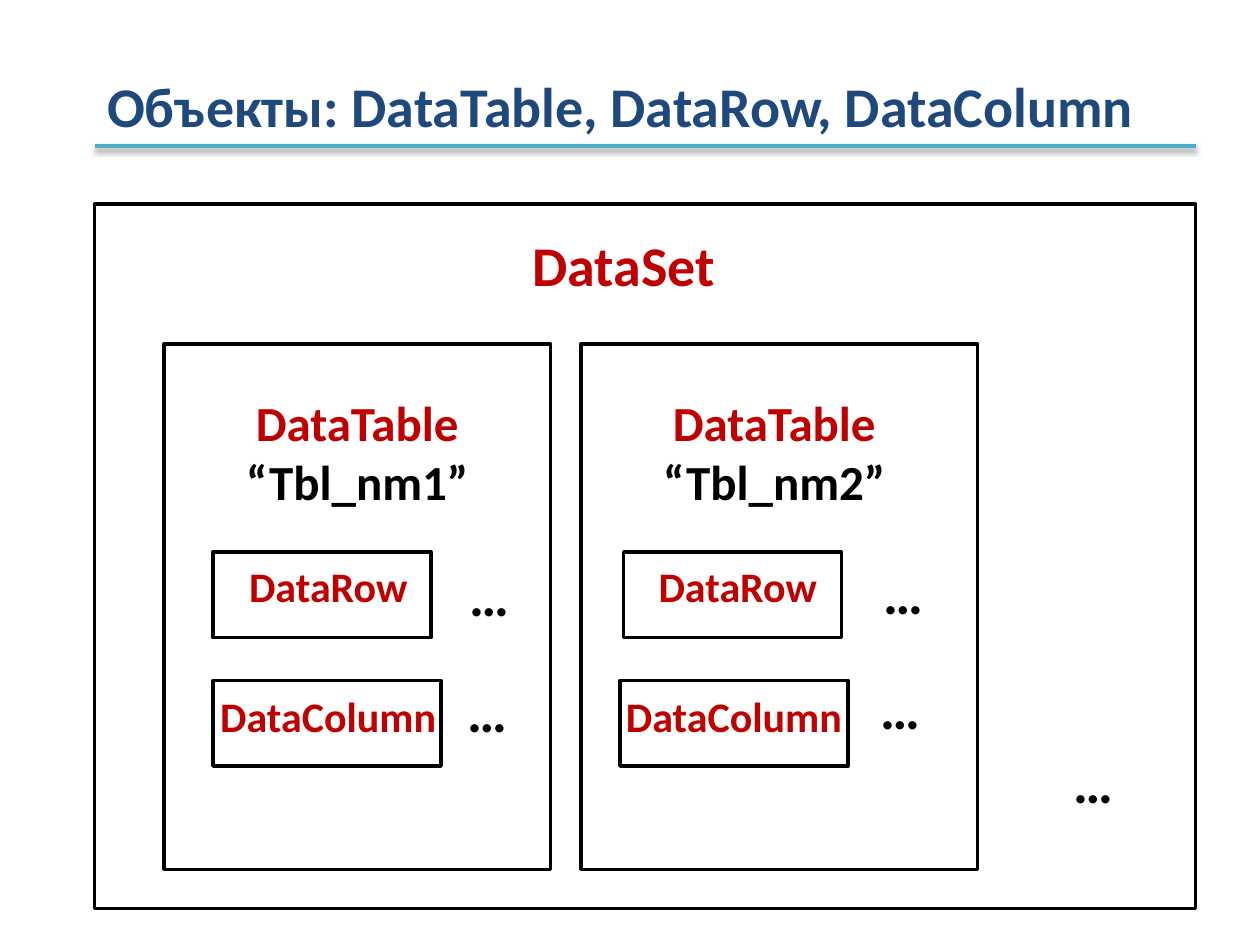
from lxml import etree
from pptx import Presentation
from pptx.oxml import parse_xml
from pptx.oxml.ns import nsdecls
from pptx.dml.color import RGBColor
from pptx.util import Pt
from pptx.enum import shapes, text

hues = {"title": "1F497D", "rule": "4BACC6", "name": "C00000", "ink": "000000"}

deck = Presentation()
deck.slide_width = Pt(720)
deck.slide_height = Pt(540)
cell = deck.slide_width / 100
slide = deck.slides.add_slide(deck.slide_layouts[5])


def write(box, lines, size, align, wrap):
    frame = box.text_frame
    frame.word_wrap = wrap
    frame.auto_size = text.MSO_AUTO_SIZE.NONE
    frame.vertical_anchor = text.MSO_ANCHOR.TOP
    for i, (words, hue) in enumerate(lines):
        para = frame.add_paragraph() if i else frame.paragraphs[0]
        para.alignment = align
        run = para.add_run()
        run.text = words
        run.font.name = "Calibri"
        run.font.size = Pt(size)
        run.font.bold = True
        run.font.color.rgb = RGBColor.from_string(hues[hue])


def frame(parent, *spot):
    box = parent.add_shape(shapes.MSO_SHAPE.RECTANGLE, *[round(n * cell) for n in spot])
    box.shadow.inherit = False
    box.fill.background()
    box.line.color.rgb = RGBColor.from_string(hues["ink"])
    box.line.width = Pt(2)


left, mid = text.PP_ALIGN.LEFT, text.PP_ALIGN.CENTER
edge, span = 7.5, 87.4

title = slide.shapes.title
title.left, title.top, title.width, title.height = [
    round(n * cell) for n in (edge, 5.2, 84.2, 6.4)]
write(title, [("Объекты: DataTable, DataRow, DataColumn", "title")], 32, left, False)

rule = slide.shapes.add_connector(
    shapes.MSO_CONNECTOR.STRAIGHT,
    *[round(n * cell) for n in (edge, 11.6, edge + span, 11.6)])
rule.line.color.rgb = RGBColor.from_string(hues["rule"])
rule.line.width = Pt(2)
rule._element.spPr.append(parse_xml(
    f'<a:effectLst {nsdecls("a")}>'
    f'<a:outerShdw blurRad="{Pt(3.1)}" dist="{Pt(1.6)}" dir="5400000" rotWithShape="0">'
    f'<a:srgbClr val="{hues["ink"]}"><a:alpha val="38000"/></a:srgbClr>'
    '</a:outerShdw></a:effectLst>'))

frame(slide.shapes, edge, 16.2, span, 55.9)
head = slide.shapes.add_textbox(*[round(n * cell) for n in (41.2, 17.8, 16.6, 6.4)])
write(head, [("DataSet", "name")], 32, mid, False)

tables = [
    ("“Tbl_nm1”", 13, 30.7, 17.7, 16.9, 16.9, 15.4, 15.4),
    ("“Tbl_nm2”", 46.1, 31.5, 50.8, 49.5, 49.2, 47.9, 47.6),
]
for label, x, wide, name, row, col, rowtext, coltext in tables:
    group = slide.shapes.add_group_shape().shapes
    frame(group, x, 27.3, wide, 41.7)
    frame(group, row, 43.8, 17.3, 6.8)
    frame(group, col, 54, 18.1, 6.8)
    for lines, size, *spot in [
        ([("DataTable", "name"), (label, "ink")], 28, name, 30.7, 21.3, 10.4),
        ([("DataRow", "name")], 24, rowtext, 44, 21.3, 5),
        ([("DataColumn", "name")], 24, coltext, 54.3, 21.3, 5),
    ]:
        box = group.add_textbox(*[round(n * cell) for n in spot])
        write(box, lines, size, mid, True)

for x, y in [(84.2, 58.8), (36.3, 44), (36.1, 53.2), (69.1, 43.8), (68.9, 53)]:
    dots = slide.shapes.add_textbox(*[round(n * cell) for n in (x, y, 5.2, 6.4)])
    write(dots, [("…", "ink")], 32, left, False)

deck.save("out.pptx")
